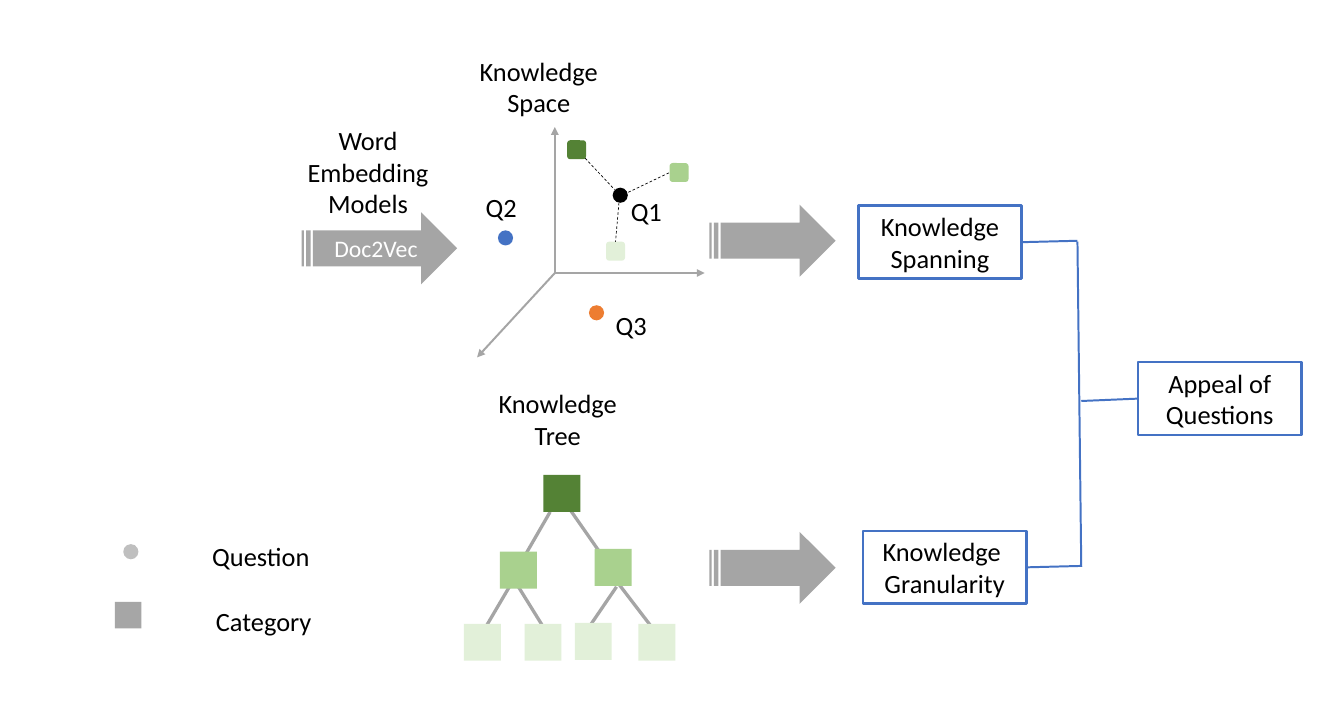
"""Build the slide on knowledge space, knowledge tree and the appeal of questions."""
from dataclasses import dataclass

from lxml import etree
from pptx import Presentation
from pptx.dml.color import RGBColor
from pptx.enum.dml import MSO_LINE
from pptx.enum.shapes import MSO_CONNECTOR, MSO_SHAPE
from pptx.enum.text import MSO_ANCHOR, PP_ALIGN
from pptx.oxml.ns import qn
from pptx.util import Inches, Pt

STRAIGHT = MSO_CONNECTOR.STRAIGHT
ARROW = MSO_SHAPE.STRIPED_RIGHT_ARROW
DOT = MSO_SHAPE.OVAL
SQUARE = MSO_SHAPE.RECTANGLE
ROUNDED = MSO_SHAPE.ROUNDED_RECTANGLE
DASH = MSO_LINE.DASH
CENTER = PP_ALIGN.CENTER
TOP, MIDDLE = MSO_ANCHOR.TOP, MSO_ANCHOR.MIDDLE
SIDE_TOP, SIDE_LEFT, SIDE_RIGHT = 0, 1, 3

COLORS = {
    "black": "000000", "white": "FFFFFF", "gray": "A5A5A5",
    "category": "A6A6A6", "question": "BFBFBF", "blue": "4472C4", "orange": "ED7D31",
    "dark": "548235", "mid": "A9D18E", "pale": "E2F0D9",
}
DOT_SIZE, TERM_SIZE, TREE_SIZE, KEY_SIZE = 0.16, 0.2, 0.39, 0.28
ARROW_HEIGHT = 0.76
BOX_WIDTH, BOX_HEIGHT, LABEL_HEIGHT = 1.72, 0.77, 0.44


@dataclass
class Mark:
    """A filled shape without text."""
    kind: int
    left: float
    top: float
    size: float
    color: str


@dataclass
class Label:
    """A text with its place."""
    text: str
    left: float
    top: float
    width: float = BOX_WIDTH
    height: float = BOX_HEIGHT


@dataclass
class Link:
    """A straight line from start to end."""
    start: tuple
    end: tuple
    color: str = "gray"
    width: float = 2.5
    dash: bool = False
    arrow: bool = False


AXIS_ORIGIN = (5.85, 2.88)
AXES = [Link(AXIS_ORIGIN, tip, width=1.5, arrow=True)
        for tip in ((5.85, 1.34), (7.43, 2.88), (5.03, 3.77))]
QUESTIONS = [
    Mark(DOT, 6.46, 1.98, DOT_SIZE, "black"),
    Mark(DOT, 5.25, 2.43, DOT_SIZE, "blue"),
    Mark(DOT, 6.21, 3.22, DOT_SIZE, "orange"),
]
BRANCHES = [
    Link((6.5, 6.13), (6.86, 6.6)), Link((6.5, 6.19), (6.2, 6.63)),
    Link((5.4, 6.14), (5.1, 6.65)), Link((5.41, 6.1), (5.72, 6.6)),
    Link((5.8, 5.4), (5.5, 5.92)), Link((6.02, 5.39), (6.39, 5.92)),
]
TREE = [
    Mark(SQUARE, left, top, TREE_SIZE, color) for left, top, color in (
        (5.73, 5.01, "dark"), (5.27, 5.82, "mid"), (6.27, 5.79, "mid"),
        (4.89, 6.58, "pale"), (5.53, 6.58, "pale"),
        (6.06, 6.57, "pale"), (6.73, 6.58, "pale"))
]
KEY = [
    Mark(SQUARE, 1.21, 6.35, KEY_SIZE, "category"),
    Mark(DOT, 1.3, 5.74, DOT_SIZE, "question"),
]
CAPTIONS = [
    Label("Word Embedding Models", 3.02, 1.26, height=1.11),
    Label("Knowledge Space", 4.82, 0.53),
    Label("Knowledge Tree", 5.02, 4.04),
    Label("Q3", 6.02, 3.21, 1.27, LABEL_HEIGHT),
    Label("Q2", 4.65, 1.97, 1.27, LABEL_HEIGHT),
    Label("Q1", 6.18, 2.01, 1.27, LABEL_HEIGHT),
    Label("Category", 1.92, 6.33, height=LABEL_HEIGHT),
    Label("Question", 1.89, 5.65, height=LABEL_HEIGHT),
]


def write(shape, text: str, *, size: float = 20, color: str = "black", anchor=TOP) -> None:
    """Fill a shape with centred text, one paragraph a line."""
    frame = shape.text_frame
    frame.word_wrap = True
    frame.vertical_anchor = anchor
    frame.text = text
    for paragraph in frame.paragraphs:
        paragraph.alignment = CENTER
        font = paragraph.runs[0].font
        font.name, font.size = "Calibri", Pt(size)
        font.color.rgb = RGBColor.from_string(COLORS[color])


def add_filled(slide, kind, left: float, top: float, width: float, height: float, color: str):
    """Add a flat filled shape."""
    shape = slide.shapes.add_shape(kind, Inches(left), Inches(top), Inches(width), Inches(height))
    shape.shadow.inherit = False
    shape.fill.solid()
    shape.fill.fore_color.rgb = RGBColor.from_string(COLORS[color])
    shape.line.fill.background()
    return shape


def add_mark(slide, mark: Mark):
    """Add a node, dot or key symbol."""
    return add_filled(slide, mark.kind, mark.left, mark.top, mark.size, mark.size, mark.color)


def add_caption(slide, label: Label) -> None:
    """Add a plain text label."""
    box = slide.shapes.add_textbox(Inches(label.left), Inches(label.top),
                                   Inches(label.width), Inches(label.height))
    write(box, label.text)


def add_outcome(slide, label: Label):
    """Add a blue outlined box with text."""
    box = slide.shapes.add_shape(SQUARE, Inches(label.left), Inches(label.top),
                                 Inches(label.width), Inches(label.height))
    box.shadow.inherit = False
    box.fill.background()
    box.line.color.rgb = RGBColor.from_string(COLORS["blue"])
    box.line.width = Pt(2)
    write(box, label.text)
    return box


def add_link(slide, link: Link):
    """Add a straight line, dashed or with an arrowhead on request."""
    line = slide.shapes.add_connector(STRAIGHT, *(Inches(v) for v in link.start + link.end))
    line.line.color.rgb = RGBColor.from_string(COLORS[link.color])
    line.line.width = Pt(link.width)
    if link.dash:
        line.line.dash_style = DASH
    if link.arrow:
        etree.SubElement(line.line._get_or_add_ln(), qn("a:tailEnd"), type="triangle")
    etree.SubElement(line._element.spPr, qn("a:effectLst"))
    return line


def add_space(slide) -> None:
    """Draw the axes, the questions and the categories around Q1."""
    for axis in AXES:
        add_link(slide, axis)
    for question in QUESTIONS:
        add_mark(slide, question)
    mid = add_mark(slide, Mark(ROUNDED, 7.06, 1.72, TERM_SIZE, "mid"))
    add_mark(slide, Mark(ROUNDED, 5.98, 1.48, TERM_SIZE, "dark"))
    pale = add_mark(slide, Mark(ROUNDED, 6.39, 2.55, TERM_SIZE, "pale"))
    add_link(slide, Link((6.17, 1.67), (6.48, 2), "black", 0.5, dash=True))
    to_mid = add_link(slide, Link((6.58, 2.05), (7.06, 1.82), "black", 0.5, dash=True))
    to_mid.end_connect(mid, SIDE_LEFT)
    to_pale = add_link(slide, Link((6.53, 2.09), (6.49, 2.55), "black", 0.5, dash=True))
    to_pale.end_connect(pale, SIDE_TOP)


def add_outcomes(slide) -> None:
    """Draw the three result boxes and the bracket that joins them."""
    spanning = add_outcome(slide, Label("Knowledge Spanning", 9.05, 2.17))
    granularity = add_outcome(slide, Label("Knowledge \nGranularity", 9.1, 5.6))
    appeal = add_outcome(slide, Label("Appeal of Questions", 12, 3.82))
    from_spanning = add_link(slide, Link((10.77, 2.56), (11.36, 2.54), "blue", 1.5))
    from_spanning.begin_connect(spanning, SIDE_RIGHT)
    add_link(slide, Link((11.36, 2.55), (11.4, 5.98), "blue", 1.5))
    to_appeal = add_link(slide, Link((11.4, 4.23), (12, 4.21), "blue", 1.5))
    to_appeal.end_connect(appeal, SIDE_LEFT)
    from_granularity = add_link(slide, Link((10.82, 5.99), (11.4, 5.97), "blue", 1.5))
    from_granularity.begin_connect(granularity, SIDE_RIGHT)


def main() -> None:
    """Assemble and save the slide."""
    deck = Presentation()
    deck.slide_width, deck.slide_height = Inches(14.17), Inches(7.5)
    slide = deck.slides.add_slide(deck.slide_layouts[6])
    embedding = add_filled(slide, ARROW, 3.18, 2.24, 1.64, ARROW_HEIGHT, "gray")
    write(embedding, "Doc2Vec", size=18, color="white", anchor=MIDDLE)
    for top in (2.16, 5.61):
        add_filled(slide, ARROW, 7.48, top, 1.33, ARROW_HEIGHT, "gray")
    add_space(slide)
    for branch in BRANCHES:
        add_link(slide, branch)
    for mark in TREE + KEY:
        add_mark(slide, mark)
    for caption in CAPTIONS:
        add_caption(slide, caption)
    add_outcomes(slide)
    deck.save("out.pptx")


if __name__ == "__main__":
    main()
